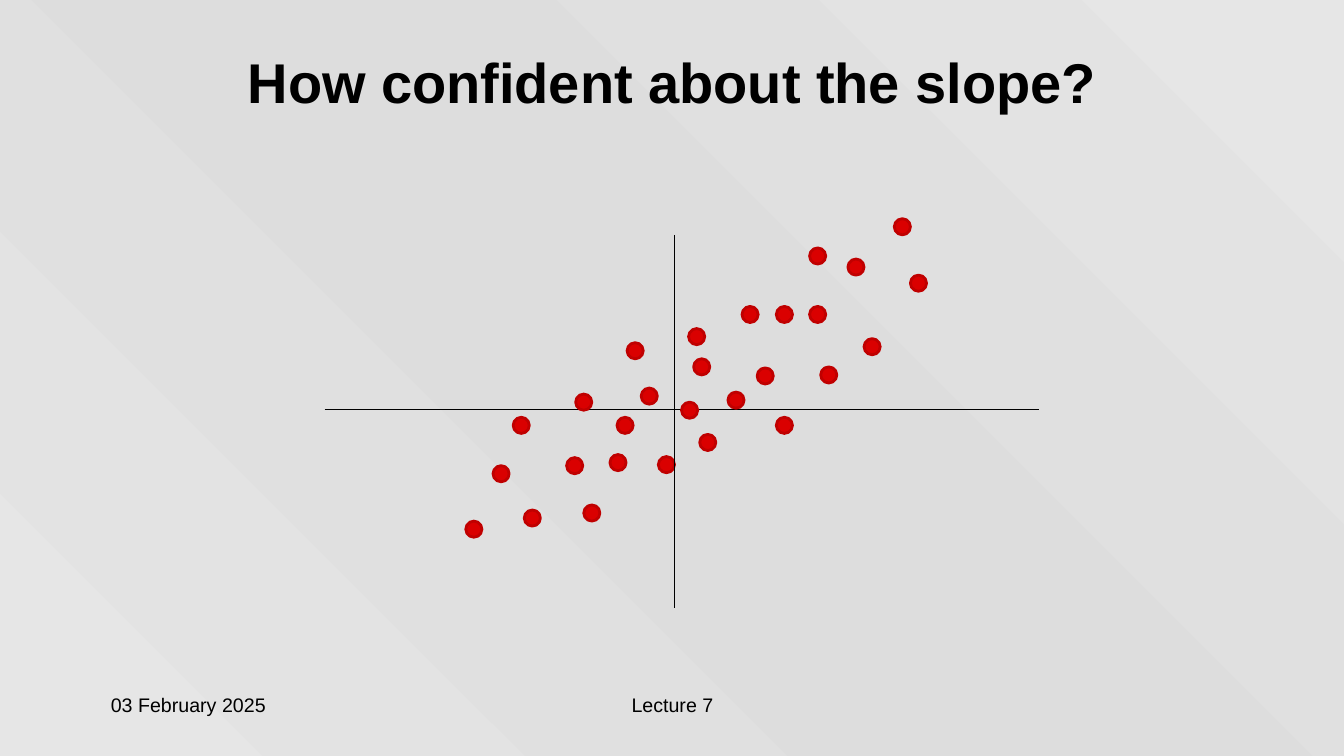
from copy import deepcopy

from pptx import Presentation
from pptx.dml.color import RGBColor
from pptx.enum.shapes import MSO_CONNECTOR as CONNECTOR, MSO_SHAPE as SHAPE
from pptx.enum.text import MSO_ANCHOR as ANCHOR, PP_ALIGN as ALIGN
from pptx.oxml.ns import qn
from pptx.util import Inches, Pt

BLACK, DOT_FILL, DOT_EDGE = "000000", "DA0000", "C00000"
BACKGROUND_STOPS = [(0, "E6E6E6"), (0.5, "DDDDDD"), (1, "E6E6E6")]
DOT_SIZE = 0.16
AXIS_ORIGIN = (3.47, 1.73)
OBSERVATIONS = [
    (0.27, 0.42), (-0.39, 0.58), (0.22, 0.72), (0.75, 0.94),
    (-0.56, -0.53), (-0.08, -0.55), (0.9, 0.33), (1.42, 0.94),
    (1.09, 0.94), (1.53, 0.34), (1.8, 1.41), (1.96, 0.62),
    (2.42, 1.25), (-0.9, 0.07), (-0.99, -0.56), (-1.72, -0.64),
    (-1.41, -1.08), (-1.52, -0.16), (-0.49, -0.16), (0.33, -0.33),
    (2.26, 1.81), (-1.99, -1.19), (1.42, 1.52), (1.09, -0.16),
    (-0.25, 0.13), (-0.82, -1.03), (0.15, -0.01), (0.61, 0.09),
]


def color(hex_string):
    """Turn a hex string into a colour."""
    return RGBColor.from_string(hex_string)


def write(shape, text, align, **font_format):
    """Put one formatted paragraph into a shape."""
    shape.text_frame.word_wrap = True
    paragraph = shape.text_frame.paragraphs[0]
    paragraph.alignment = align
    run = paragraph.add_run()
    run.text = text
    run.font.color.rgb = color(BLACK)
    for name, value in {"name": "Arial", **font_format}.items():
        setattr(run.font, name, value)


def paint_background(slide):
    """Fill the slide with a diagonal grey gradient."""
    fill = slide.background.fill
    fill.gradient()
    fill.gradient_angle = 45
    stop_list = slide.element.find(".//" + qn("a:gsLst"))
    stop_list.insert(1, deepcopy(stop_list[0]))
    for stop, (position, shade) in zip(fill.gradient_stops, BACKGROUND_STOPS):
        stop.position = position
        stop.color.rgb = color(shade)


def place_title(slide, text, left, top, width, height):
    """Move and format the title placeholder."""
    title = slide.shapes.title
    box = {"left": left, "top": top, "width": width, "height": height}
    for name, value in box.items():
        setattr(title, name, Inches(value))
    title.text_frame.vertical_anchor = ANCHOR.MIDDLE
    write(title, text, ALIGN.CENTER, size=Pt(40), bold=True)


def add_footer(slide, text, align, left, top, width, height):
    """Add one footer text."""
    footer = slide.shapes.add_textbox(*map(Inches, (left, top, width, height)))
    write(footer, text, align, size=Pt(14))


def add_axis(slide, *ends):
    """Draw one thin axis line between two points."""
    axis = slide.shapes.add_connector(CONNECTOR.STRAIGHT, *map(Inches, ends))
    axis.line.color.rgb = color(BLACK)
    axis.line.width = Pt(0.25)
    axis._element.spPr.append(axis._element.makeelement(qn("a:effectLst")))


def add_dot(slide, center_x, center_y):
    """Draw one observation around its centre."""
    left, top = center_x - DOT_SIZE / 2, center_y - DOT_SIZE / 2
    dot = slide.shapes.add_shape(
        SHAPE.OVAL, *map(Inches, (left, top, DOT_SIZE, DOT_SIZE)))
    dot.shadow.inherit = False
    dot.fill.solid()
    dot.fill.fore_color.rgb = color(DOT_FILL)
    dot.line.color.rgb = color(DOT_EDGE)
    dot.line.width = Pt(2)


def add_scatter(slide, left, top, width, height):
    """Draw the crossed axes and the cloud of observations in a box."""
    origin_x, origin_y = left + AXIS_ORIGIN[0], top + AXIS_ORIGIN[1]
    add_axis(slide, left, origin_y, left + width, origin_y)
    for x, y in OBSERVATIONS:
        add_dot(slide, origin_x + x, origin_y - y)
    add_axis(slide, origin_x, top, origin_x, top + height)


def main():
    """Build and save the presentation."""
    presentation = Presentation()
    presentation.slide_width = Inches(13.33)
    presentation.slide_height = Inches(7.5)
    slide = presentation.slides.add_slide(presentation.slide_layouts[5])
    paint_background(slide)
    place_title(slide, "How confident about the slope?", 0.26, 0.3, 12.81, 1.01)
    add_footer(slide, "03 February 2025", ALIGN.LEFT, 1, 6.83, 2.78, 0.5)
    add_footer(slide, "Lecture 7", ALIGN.CENTER, 4.56, 6.83, 4.22, 0.5)
    add_scatter(slide, 3.22, 2.33, 7.09, 3.7)
    presentation.save("out.pptx")


if __name__ == "__main__":
    main()
